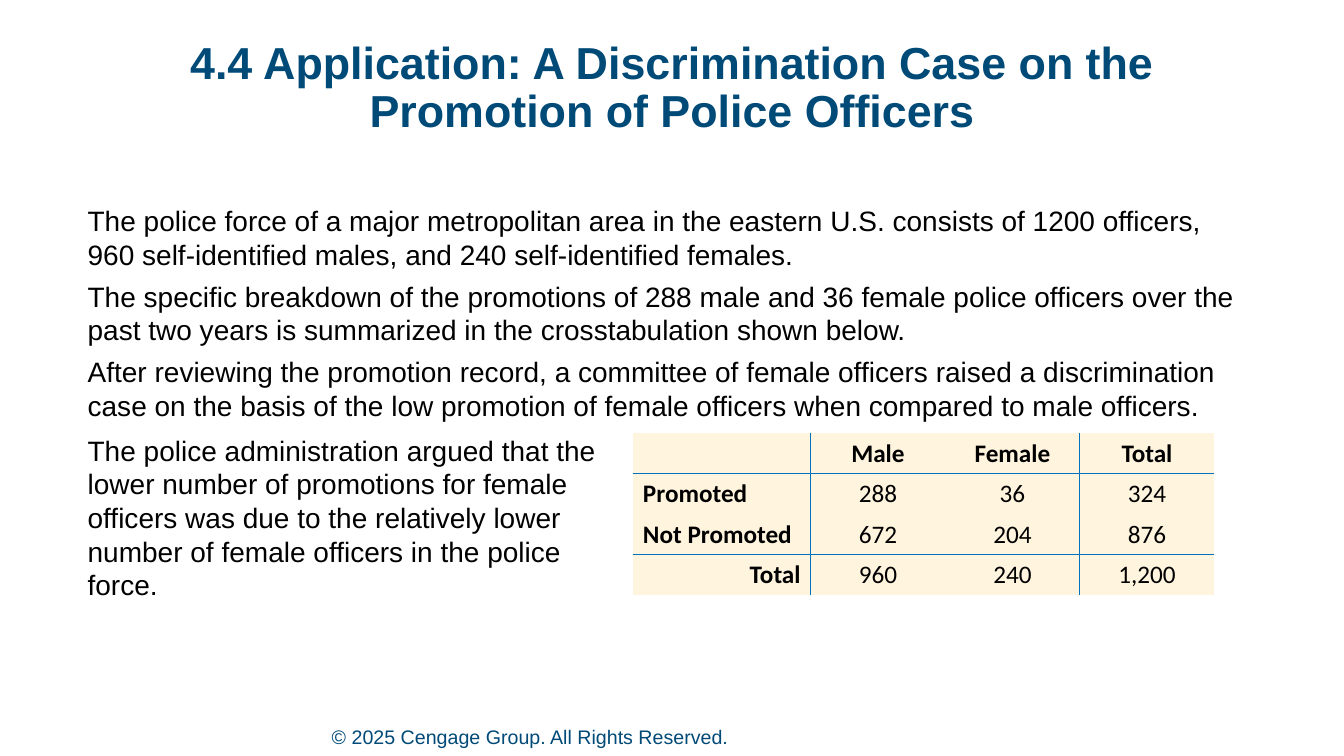
from pptx import Presentation
from pptx.dml.color import RGBColor
from pptx.enum.text import MSO_ANCHOR, PP_ALIGN as Align
from pptx.oxml import parse_xml
from pptx.oxml.ns import nsdecls
from pptx.util import Cm, Pt

NAVY, BLACK, CREAM, RULE = "004A78", "000000", "FFF4DE", "0070C0"

TITLE = "4.4 Application: A Discrimination Case on the Promotion of Police Officers"
CASE_FACTS = [
    "The police force of a major metropolitan area in the eastern U.S. consists of 1200 officers, "
    "960 self-identified males, and 240 self-identified females.",
    "The specific breakdown of the promotions of 288 male and 36 female police officers over the "
    "past two years is summarized in the crosstabulation shown below.",
    "After reviewing the promotion record, a committee of female officers raised a discrimination "
    "case on the basis of the low promotion of female officers when compared to male officers.",
]
ARGUMENT = [
    "The police administration argued that the lower number of promotions for female officers "
    "was due to the relatively lower number of female officers in the police force."
]
COPYRIGHT = ["© 2025 Cengage Group. All Rights Reserved."]
CROSSTAB = [
    ["", "Male", "Female", "Total"],
    ["Promoted", "288", "36", "324"],
    ["Not Promoted", "672", "204", "876"],
    ["Total", "960", "240", "1,200"],
]


def color(code):
    return RGBColor.from_string(code)


class Page:
    font = "Arial"
    table_font = "Calibri"

    def __init__(self, deck):
        self.slide = deck.slides.add_slide(deck.slide_layouts[5])

    def style(self, para, size, code, bold=False, font=None):
        para.font.name = font or self.font
        para.font.size = Pt(size)
        para.font.bold = bold
        para.font.color.rgb = color(code)

    def frame(self, box, anchor=MSO_ANCHOR.TOP, bottom=0):
        frame = box.text_frame
        frame.word_wrap = True
        frame.vertical_anchor = anchor
        frame.margin_left = frame.margin_right = frame.margin_top = 0
        frame.margin_bottom = Cm(bottom)
        return frame

    def title(self, text, left, top, width, height):
        box = self.slide.shapes.title
        box.left, box.top, box.width, box.height = Cm(left), Cm(top), Cm(width), Cm(height)
        frame = self.frame(box)
        frame.text = text
        para = frame.paragraphs[0]
        para.alignment = Align.CENTER
        para.line_spacing = 0.9
        self.style(para, 32, NAVY, bold=True)

    def text(self, lines, left, top, width, height, size=20, code=BLACK, **layout):
        box = self.slide.shapes.add_textbox(Cm(left), Cm(top), Cm(width), Cm(height))
        frame = self.frame(box, **layout)
        for index, line in enumerate(lines):
            para = frame.add_paragraph() if index else frame.paragraphs[0]
            para.text = line
            if index:
                para.space_before = Pt(6)
            self.style(para, size, code)

    def border(self, cell, sides):
        """Rule the sides named in sides (L, R, T, B) and leave the others bare."""
        properties = cell._tc.get_or_add_tcPr()
        for position, side in enumerate("LRTB"):
            fill = f'<a:solidFill><a:srgbClr val="{RULE}"/></a:solidFill>' if side in sides else "<a:noFill/>"
            line = parse_xml(f'<a:ln{side} {nsdecls("a")} w="{Pt(1)}">{fill}</a:ln{side}>')
            properties.insert(position, line)

    def crosstab(self, rows, left, top, widths, row_height):
        """Table with header and total rows and columns set apart by rules."""
        shape = self.slide.shapes.add_table(
            len(rows), len(widths), Cm(left), Cm(top), Cm(sum(widths)), Cm(row_height * len(rows)))
        table = shape.table
        for column, width in zip(table.columns, widths):
            column.width = Cm(width)
        last_row, last_column = len(rows) - 1, len(widths) - 1
        for r, row in enumerate(rows):
            table.rows[r].height = Cm(row_height)
            for c, text in enumerate(row):
                cell = table.cell(r, c)
                cell.text = text
                cell.fill.solid()
                cell.fill.fore_color.rgb = color(CREAM)
                para = cell.text_frame.paragraphs[0]
                if c:
                    para.alignment = Align.CENTER
                else:
                    para.alignment = Align.RIGHT if r == last_row else Align.LEFT
                self.style(para, 18, BLACK, bold=r == 0 or c == 0, font=self.table_font)
                ruled = {
                    "L": c in (1, last_column),
                    "R": c in (0, last_column - 1),
                    "T": r in (1, last_row),
                    "B": r in (0, last_row - 1),
                }
                self.border(cell, [side for side, drawn in ruled.items() if drawn])


def main():
    deck = Presentation()
    deck.slide_width, deck.slide_height = Cm(33.87), Cm(19.05)
    page = Page(deck)
    page.title(TITLE, 2.34, 1.02, 29.21, 1.88)
    page.text(CASE_FACTS, 2.21, 5.13, 29.26, 5.72)
    page.text(ARGUMENT, 2.21, 10.92, 13.08, 4.47)
    page.crosstab(CROSSTAB, 15.95, 10.92, [4.48, 3.39, 3.39, 3.39], 0.97)
    page.text(COPYRIGHT, 8.36, 18.26, 24.87, 0.74, size=14, code=NAVY,
              anchor=MSO_ANCHOR.BOTTOM, bottom=0.13)
    deck.save("out.pptx")


if __name__ == "__main__":
    main()
